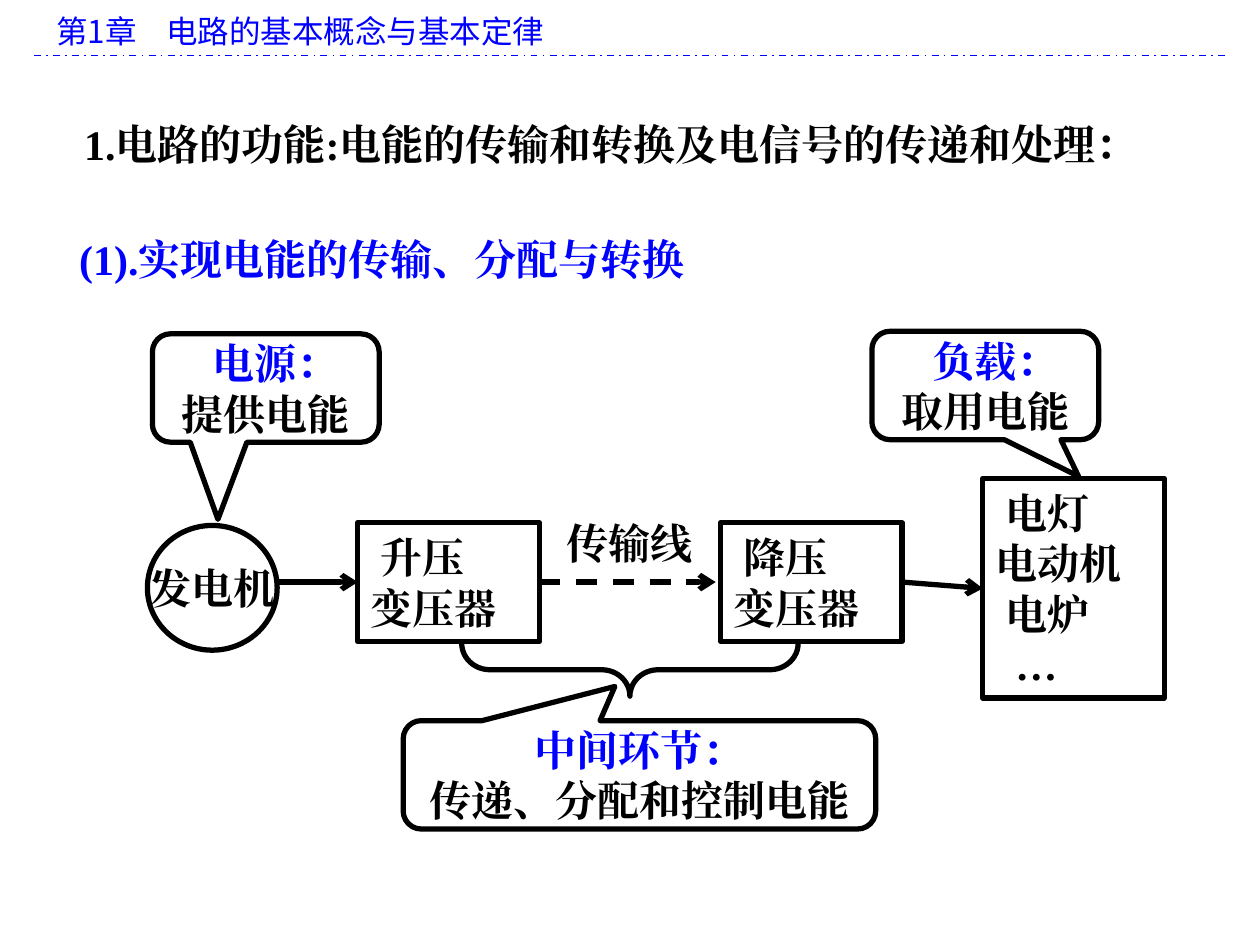
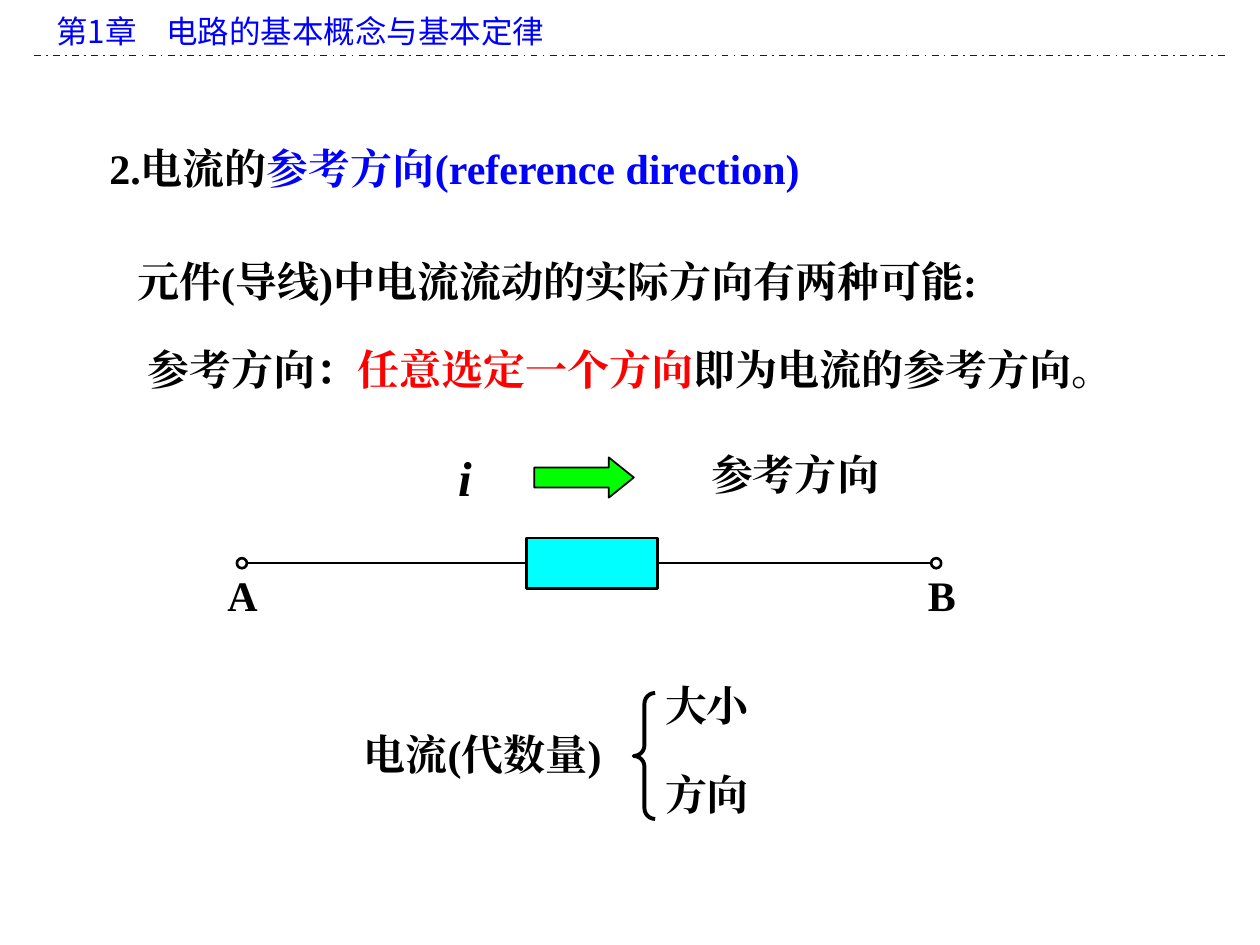
import pptx
import pptx.util
import pptx.dml.color
import pptx.enum.dml
import pptx.enum.shapes
import pptx.enum.text
import pptx.oxml.ns
from lxml import etree

Inches = pptx.util.Inches
Pt = pptx.util.Pt
SHAPE = pptx.enum.shapes.MSO_SHAPE
DASH = pptx.enum.dml.MSO_LINE
LEFT = pptx.enum.text.PP_ALIGN.LEFT
CENTER = pptx.enum.text.PP_ALIGN.CENTER
TOP = pptx.enum.text.MSO_ANCHOR.TOP
MIDDLE = pptx.enum.text.MSO_ANCHOR.MIDDLE
BLACK, BLUE, RED, GREEN, CYAN = "000000", "0000FF", "FF0000", "00FF00", "00FFFF"
SPACE = 0.08


def color(code):
    return pptx.dml.color.RGBColor.from_string(code)


def add(parent, tag, **attrs):
    return etree.SubElement(parent, pptx.oxml.ns.qn(tag), attrs)


class Deck:
    body = "Times New Roman"
    head = "Noto Sans CJK SC"
    chapter = "第1章\t电路的基本概念与基本定律"

    def __init__(self):
        self.show = pptx.Presentation()
        self.show.slide_width = Inches(10)
        self.show.slide_height = Inches(7.5)
        self.slide = None

    def page(self):
        self.slide = self.show.slides.add_slide(self.show.slide_layouts[6])
        title = self.text(0.35, 0.05, 9.37, 0.4, [], anchor=TOP)
        para = title.text_frame.paragraphs[0]
        tabs = add(para._p.get_or_add_pPr(), "a:tabLst")
        add(tabs, "a:tab", pos=str(Inches(0.87)), algn="l")
        self.ink(para, [(self.chapter, BLUE)], 18, self.head, False)
        self.line((0.27, 0.44), (9.72, 0.44), BLUE, 1, DASH.DASH_DOT)

    def ink(self, para, parts, size=24, face=None, bold=True, italic=False):
        for words, code in parts:
            run = para.add_run()
            run.text = words
            font = run.font
            font.size = Pt(size)
            font.bold = bold
            font.italic = italic
            font.name = face or self.body
            font.color.rgb = color(code)
            add(run._r.get_or_add_rPr(), "a:ea", typeface=face or self.body)

    def label(self, shape, rows, align=LEFT, anchor=MIDDLE, wrap=True,
              indents=(), spacing=None, size=24, italic=False):
        frame = shape.text_frame
        frame.word_wrap = wrap
        frame.vertical_anchor = anchor
        for i, row in enumerate(rows):
            para = frame.add_paragraph() if i else frame.paragraphs[0]
            para.alignment = align
            if spacing:
                para.line_spacing = spacing
            if i < len(indents):
                para._p.get_or_add_pPr().set("marL", str(Inches(indents[i])))
            parts = [(row, BLACK)] if isinstance(row, str) else row
            self.ink(para, parts, size, italic=italic)

    def text(self, x, y, w, h, rows, **style):
        box = self.slide.shapes.add_textbox(Inches(x), Inches(y), Inches(w), Inches(h))
        self.label(box, rows, **style)
        return box

    def shape(self, kind, x, y, w, h, width=3, fill=None, adjust=(), rows=(), **style):
        item = self.slide.shapes.add_shape(kind, Inches(x), Inches(y), Inches(w), Inches(h))
        item.shadow.inherit = False
        if fill:
            item.fill.solid()
            item.fill.fore_color.rgb = color(fill)
        else:
            item.fill.background()
        item.line.color.rgb = color(BLACK)
        item.line.width = Pt(width)
        for i, value in enumerate(adjust):
            item.adjustments[i] = value
        self.label(item, rows, **style)
        return item

    def callout(self, x, y, w, tip, name, job, shift=0):
        self.shape(SHAPE.ROUNDED_RECTANGULAR_CALLOUT, x, y, w, 0.86, adjust=(*tip, 0.167),
                   rows=[[(name, BLUE)], job], align=CENTER, wrap=False, indents=[shift])

    def line(self, start, end, code=BLACK, width=3.0, dash=None, arrow=False,
             begin=None, stop=None):
        ends = [Inches(v) for v in (*start, *end)]
        wire = self.slide.shapes.add_connector(pptx.enum.shapes.MSO_CONNECTOR.STRAIGHT, *ends)
        if begin:
            wire.begin_connect(begin, 3)
        if stop:
            wire.end_connect(stop, 1)
        wire.line.color.rgb = color(code)
        wire.line.width = Pt(width)
        if dash:
            wire.line.dash_style = dash
        props = wire._element.spPr
        if arrow:
            add(props.find(pptx.oxml.ns.qn("a:ln")), "a:tailEnd", type="arrow")
        add(props, "a:effectLst")


def power(deck):
    deck.page()
    deck.text(0.53, 1.85, 8.97, 0.46, [[("(1).实现电能的传输、分配与转换", BLUE)]],
              anchor=TOP, spacing=0.9)
    deck.text(0.57, 0.89, 9.17, 0.5, ["1.电路的功能:电能的传输和转换及电信号的传递和处理："])
    rise, drop = [
        deck.shape(SHAPE.RECTANGLE, x, 4.15, 1.44, 0.94, rows=[name, "变压器"], indents=[SPACE])
        for x, name in ((2.84, "升压"), (5.72, "降压"))]
    load = deck.shape(SHAPE.RECTANGLE, 7.8, 3.8, 1.44, 1.74,
                      rows=["电灯", "电动机", "电炉", "…"],
                      indents=[SPACE, 0, SPACE, 2 * SPACE])
    deck.line((4.28, 4.62), (5.68, 4.62), dash=DASH.DASH, arrow=True, begin=rise)
    deck.line((2.2, 4.62), (2.84, 4.62), arrow=True, stop=rise)
    deck.line((7.16, 4.62), (7.8, 4.67), arrow=True, begin=drop, stop=load)
    deck.shape(SHAPE.OVAL, 1.17, 4.17, 1.03, 0.99, rows=["发电机"], align=CENTER, wrap=False)
    deck.text(4.4, 4.06, 1.44, 0.5, ["传输线"])
    deck.callout(1.21, 2.65, 1.8, (-0.211, 1.212), "电源：", "提供电能", 2 * SPACE)
    deck.callout(3.2, 5.72, 3.75, (-0.052, -0.816), "中间环节：", "传递、分配和控制电能")
    deck.callout(6.92, 2.63, 1.8, (0.411, 0.838), "负载：", "取用电能", 2 * SPACE)
    brace = deck.shape(SHAPE.LEFT_BRACE, 4.79, 3.98, 0.42, 2.67, adjust=(0.533, 0.5))
    brace.rotation = 270


def current(deck):
    deck.page()
    for y, word in ((5.34, "大小"), (6.05, "方向")):
        deck.text(5.18, y, 1.44, 0.5, [word])
    deck.text(2.78, 5.73, 2.1, 0.5, ["电流(代数量)"], align=CENTER)
    deck.shape(SHAPE.LEFT_BRACE, 5.03, 5.5, 0.17, 1, 2.25, adjust=(0.5, 0.5))
    deck.text(0.99, 1.78, 8.41, 0.7, ["元件(导线)中电流流动的实际方向有两种可能:"],
              anchor=TOP, spacing=1.5)
    deck.text(1.05, 2.68, 7.91, 0.5,
              [[("参考方向：", BLACK), ("任意选定一个方向", RED), ("即为电流的参考方向。", BLACK)]],
              align=CENTER, wrap=False)
    deck.text(0.77, 1.08, 8.59, 0.5,
              [[("2.电流的", BLACK), ("参考方向(reference direction)", BLUE)]], anchor=TOP)
    deck.line((1.96, 4.47), (7.39, 4.47), width=1.5)
    for x, left, name in ((1.88, 1.53, "A"), (7.39, 7.08, "B")):
        deck.shape(SHAPE.OVAL, x, 4.43, 0.08, 0.08, 1.5)
        deck.text(left, 4.47, 0.79, 0.5, [name], align=CENTER)
    deck.text(3.35, 3.5, 0.68, 0.57, ["i"], align=CENTER, size=28, italic=True)
    deck.shape(SHAPE.RECTANGLE, 4.18, 4.27, 1.04, 0.4, 1.5, CYAN)
    deck.text(5.31, 3.51, 2, 0.5, ["参考方向"], align=CENTER)
    deck.shape(SHAPE.RIGHT_ARROW, 4.24, 3.63, 0.79, 0.32, 1, GREEN, (0.5, 0.622))


def main():
    deck = Deck()
    power(deck)
    current(deck)
    deck.show.save("out.pptx")


if __name__ == "__main__":
    main()
